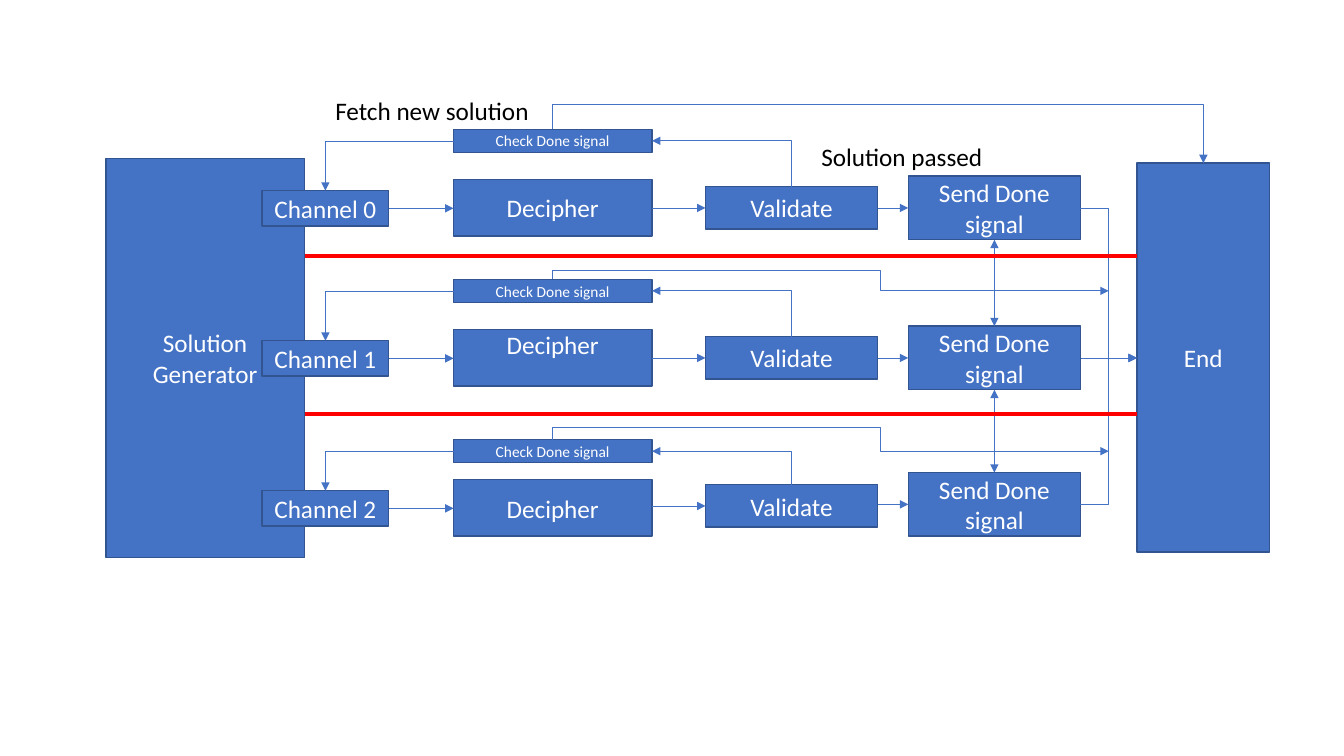
from lxml import etree
from pptx import Presentation
from pptx.dml.color import RGBColor
from pptx.enum import shapes, text
from pptx.oxml import ns
from pptx.util import Cm, Pt

BLUE = RGBColor(0x44, 0x72, 0xC4)
BORDER = RGBColor(0x32, 0x54, 0x91)
RED = RGBColor(0xFF, 0x00, 0x00)
WHITE = RGBColor(0xFF, 0xFF, 0xFF)
BLACK = RGBColor(0x00, 0x00, 0x00)
FONT = "Calibri"

# Columns as (left, width), and box heights, in cm
CHANNEL, DECIPHER, VALIDATE, SEND = (6.6, 3.2), (11.43, 5), (17.78, 4.34), (22.89, 4.34)
END = (28.65, 3.35)
CHANNEL_H, DECIPHER_H, VALIDATE_H, SEND_H, CHECK_H = 0.89, 1.42, 1.07, 1.6, 0.58

# Middle heights per lane: channel, decipher, validate, send, check
LANES = [
    (5.25, 5.24, 5.24, 5.24, 3.55),
    (9.03, 9.02, 9.02, 9.02, 7.33),
    (12.81, 12.8, 12.75, 12.71, 11.37),
]


def middle(column):
    return column[0] + column[1] / 2


def right(column):
    return column[0] + column[1]


class Diagram:
    """Holds the slide and draws boxes, labels, lines and elbows in cm."""

    def __init__(self, slide):
        self.shapes = slide.shapes

    def style_text(self, frame, wording, size, color):
        frame.word_wrap = True
        frame.text = wording
        for run in frame.paragraphs[0].runs:
            run.font.name, run.font.size = FONT, Pt(size)
            run.font.color.rgb = color

    def box(self, column, top, height, wording, size=18):
        left, width = column
        box = self.shapes.add_shape(shapes.MSO_SHAPE.RECTANGLE, Cm(left), Cm(top), Cm(width), Cm(height))
        box.shadow.inherit = False
        box.fill.solid()
        box.fill.fore_color.rgb = BLUE
        box.line.color.rgb, box.line.width = BORDER, Pt(1)
        self.style_text(box.text_frame, wording, size, WHITE)
        box.text_frame.vertical_anchor = text.MSO_ANCHOR.MIDDLE
        box.text_frame.paragraphs[0].alignment = text.PP_ALIGN.CENTER
        return box

    def label(self, left, top, width, wording):
        label = self.shapes.add_textbox(Cm(left), Cm(top), Cm(width), Cm(0.99))
        self.style_text(label.text_frame, wording, 18, BLACK)

    def line(self, start, end, color=BLUE, width=0.5, ends=("tailEnd",), kind=shapes.MSO_CONNECTOR.STRAIGHT):
        line = self.shapes.add_connector(kind, *(Cm(value) for value in (*start, *end)))
        line.line.color.rgb, line.line.width = color, Pt(width)
        outline = line.line._get_or_add_ln()
        for end_name in ends:
            etree.SubElement(outline, ns.qn(f"a:{end_name}"), type="triangle")
        etree.SubElement(line._element.spPr, ns.qn("a:effectLst"))
        return line

    def elbow(self, start, end, bends, turn=0, adjust=()):
        """Leave start at angle turn (0 right, 180 left, 270 up)."""
        dx, dy = end[0] - start[0], end[1] - start[1]
        across, down = {0: (dx, dy), 180: (-dx, -dy), 270: (-dy, dx)}[turn]
        x, y = (start[0] + end[0]) / 2, (start[1] + end[1]) / 2
        elbow = self.line((x - across / 2, y - down / 2), (x + across / 2, y + down / 2),
                          kind=shapes.MSO_CONNECTOR.ELBOW)
        properties = elbow._element.spPr
        if turn:
            properties.find(ns.qn("a:xfrm")).set("rot", str(turn * 60000))
        geometry = properties.find(ns.qn("a:prstGeom"))
        geometry.set("prst", f"bentConnector{bends + 1}")
        guides = geometry.find(ns.qn("a:avLst"))
        for number, share in enumerate(adjust, 1):
            etree.SubElement(guides, ns.qn("a:gd"), name=f"adj{number}",
                             fmla=f"val {round(share * 100000)}")


def draw_lane(diagram, number, levels):
    channel_y, decipher_y, validate_y, send_y, check_y = levels
    # Boxes
    decipher = diagram.box(DECIPHER, decipher_y - DECIPHER_H / 2, DECIPHER_H, "Decipher")
    if number == 1:
        decipher.text_frame.vertical_anchor = text.MSO_ANCHOR.TOP
        decipher.text_frame.margin_top = 0
    diagram.box(CHANNEL, channel_y - CHANNEL_H / 2, CHANNEL_H, f"Channel {number}")
    diagram.box(VALIDATE, validate_y - VALIDATE_H / 2, VALIDATE_H, "Validate")
    diagram.box(SEND, send_y - SEND_H / 2, SEND_H, "Send Done signal")
    diagram.box(DECIPHER, check_y - CHECK_H / 2, CHECK_H, "Check Done signal", 11)
    # Forward arrows
    steps = [(CHANNEL, DECIPHER, channel_y), (DECIPHER, VALIDATE, validate_y), (VALIDATE, SEND, send_y)]
    for source, target, y in steps:
        diagram.line((right(source), y), (target[0], y))
    # Way back to the channel
    diagram.elbow((middle(VALIDATE), validate_y - VALIDATE_H / 2), (right(DECIPHER), check_y), 1, 270)
    diagram.elbow((DECIPHER[0], check_y), (middle(CHANNEL), channel_y - CHANNEL_H / 2), 1, 180)


def main():
    deck = Presentation()
    deck.slide_width, deck.slide_height = Cm(33.87), Cm(19.05)
    diagram = Diagram(deck.slides.add_slide(deck.slide_layouts[6]))

    # Generator, lanes and end
    diagram.box((2.67, 5), 3.99, 10.06, "Solution Generator")
    for number, levels in enumerate(LANES):
        draw_lane(diagram, number, levels)
    diagram.box(END, 4.11, 9.8, "End")

    # Done signals between lanes and on to the end
    sends = [levels[3] for levels in LANES]
    for upper, lower in zip(sends, sends[1:]):
        diagram.line((middle(SEND), upper + SEND_H / 2), (middle(SEND), lower - SEND_H / 2),
                     ends=("headEnd", "tailEnd"))
    finish = (END[0], sends[1])
    diagram.line((right(SEND), sends[1]), finish)
    for y in (sends[0], sends[2]):
        diagram.elbow((right(SEND), y), finish, 2, adjust=(0.5,))

    # Exits from the checks
    check_tops = [levels[4] - CHECK_H / 2 for levels in LANES]
    diagram.elbow((middle(DECIPHER), check_tops[0]), (middle(END), 4.11), 2, 270, (-0.74,))
    for top, lift in zip(check_tops[1:], (0.22, 0.32)):
        diagram.elbow((middle(DECIPHER), top), (27.94, top + CHECK_H / 2), 3, 270,
                      (-lift * 2 / CHECK_H, 0.59))

    # Lane dividers and labels
    for y in (6.46, 10.44):
        diagram.line((7.68, y), (END[0], y), RED, 3, ())
    diagram.label(8.2, 2.29, 6.83, "Fetch new solution")
    diagram.label(20.45, 3.43, 4.6, "Solution passed")

    deck.save("out.pptx")


if __name__ == "__main__":
    main()
